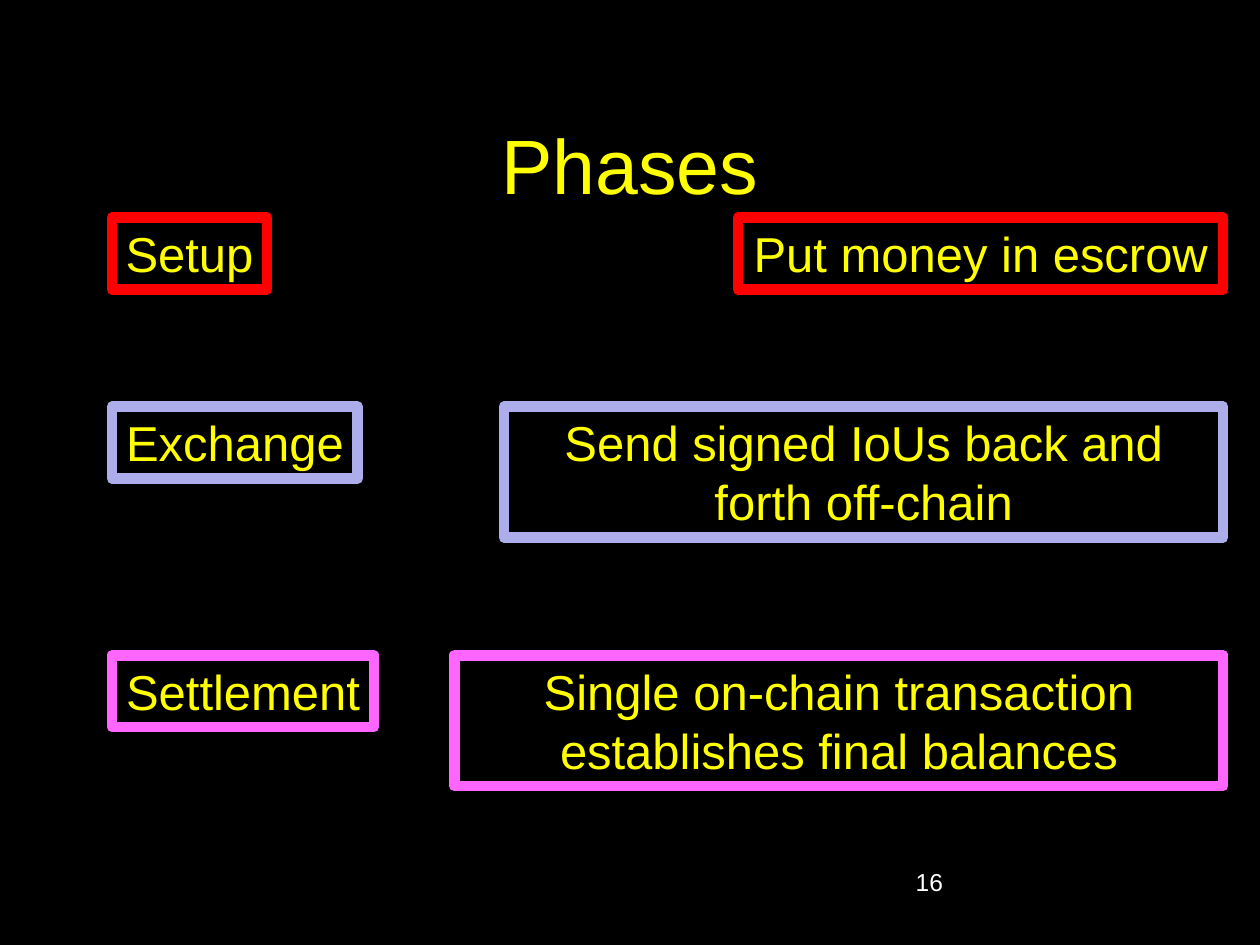
from pptx import Presentation
from pptx.dml.color import RGBColor as Rgb
from pptx.enum.shapes import MSO_SHAPE as Kind
from pptx.enum.text import MSO_ANCHOR as Anchor, PP_ALIGN as Align
from pptx.util import Cm, Pt

# Content
TITLE = "Phases"
NUMBER = "16"
HUES = {"back": "000000", "text": "FFFF00", "num": "FFFFFF",
        "red": "FF0000", "blue": "ADADEB", "pink": "FF66FF"}
# hue, top, name, name width, note, note width, note lines (cm)
ROWS = [
    ("red", 4.39, "Setup", 3.12, "Put money in escrow", 9.78, 1),
    ("blue", 8.2, "Exchange", 4.95,
     "Send signed IoUs back and forth off-chain", 14.5, 2),
    ("pink", 13.21, "Settlement", 5.28,
     "Single on-chain transaction establishes final balances", 15.5, 2),
]
LEFT, RIGHT = 2.26, 24.66
PAD, LINE = 0.26, 1.19


def color(hue):
    return Rgb.from_string(HUES[hue])


def write(frame, text, size, hue, align):
    frame.text = text
    para = frame.paragraphs[0]
    para.alignment = align
    font = para.runs[0].font
    font.name, font.size = "Arial", Pt(size)
    font.color.rgb = color(hue)


def place(shape, left, top, width, height):
    shape.left, shape.top = Cm(left), Cm(top)
    shape.width, shape.height = Cm(width), Cm(height)


def add_box(slide, left, top, width, lines, text, hue):
    height = PAD + lines * LINE
    box = slide.shapes.add_shape(
        Kind.RECTANGLE, Cm(left), Cm(top), Cm(width), Cm(height))
    box.shadow.inherit = False
    box.fill.solid()
    box.fill.fore_color.rgb = color("back")
    box.line.color.rgb = color(hue)
    box.line.width = Pt(6)
    frame = box.text_frame
    frame.word_wrap = lines > 1
    frame.vertical_anchor = Anchor.TOP
    write(frame, text, 28, "text", Align.CENTER)


def main():
    deck = Presentation()
    deck.slide_width, deck.slide_height = Cm(25.4), Cm(19.05)
    slide = deck.slides.add_slide(deck.slide_layouts[5])
    slide.background.fill.solid()
    slide.background.fill.fore_color.rgb = color("back")

    # Title
    title = slide.shapes.title
    place(title, 1.9, 1.7, 21.6, 3.18)
    title.text_frame.vertical_anchor = Anchor.MIDDLE
    write(title.text_frame, TITLE, 44, "text", Align.CENTER)

    # Slide number
    num = slide.shapes.add_textbox(Cm(18.21), Cm(17.35), Cm(5.28), Cm(1.27))
    num.text_frame.word_wrap = True
    write(num.text_frame, NUMBER, 14, "num", Align.LEFT)

    # Phases: names flush left, notes flush right
    for hue, top, name, wide, note, span, lines in ROWS:
        add_box(slide, LEFT, top, wide, 1, name, hue)
        add_box(slide, RIGHT - span, top, span, lines, note, hue)

    deck.save("out.pptx")


if __name__ == "__main__":
    main()
